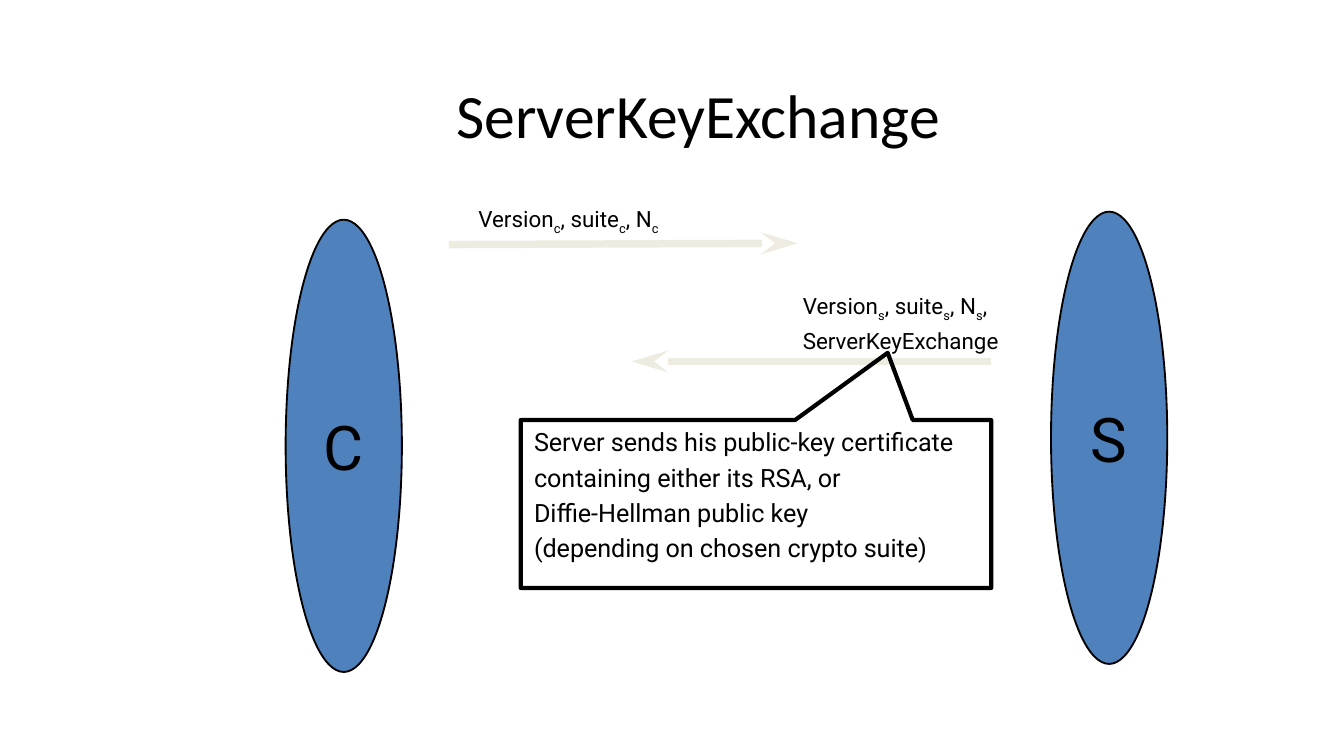
"""Build the ServerKeyExchange handshake slide."""
from lxml.etree import SubElement
from pptx import Presentation
from pptx.dml.color import RGBColor
from pptx.enum.shapes import MSO_CONNECTOR as Connector, MSO_SHAPE as Shape
from pptx.enum.text import MSO_ANCHOR as Anchor, MSO_AUTO_SIZE as Fit, PP_ALIGN as Align
from pptx.oxml.ns import qn
from pptx.util import Emu, Pt

PX = 4572
COLORS = {"ink": "000000", "party": "4F81BD", "arrow": "EEECE1"}


def px(*lengths):
    return [Emu(length * PX) for length in lengths]


def color(name):
    return RGBColor.from_string(COLORS[name])


def write(box, lines, size, font="Roboto", align=Align.LEFT, gap=0, **frame_format):
    """Fill a shape with lines, where text between underscores is subscript."""
    frame = box.text_frame
    for name, value in frame_format.items():
        setattr(frame, name, value)
    for number, line in enumerate(lines):
        para = frame.add_paragraph() if number else frame.paragraphs[0]
        para.alignment = align
        if number:
            para.space_before = Pt(gap)
        for index, part in enumerate(line.split("_")):
            if not part:
                continue
            span = para.add_run()
            span.text = part
            for name, value in {"size": Pt(size), "name": font}.items():
                setattr(span.font, name, value)
            span.font.color.rgb = color("ink")
            if index % 2:
                span._r.get_or_add_rPr().set("baseline", "-25000")


def add_text(page, place, lines, size, **text_format):
    write(page.shapes.add_textbox(*px(*place)), lines, size, **text_format)


def add_outlined(page, kind, place, line_width, fill=None):
    shape = page.shapes.add_shape(kind, *px(*place))
    shape.shadow.inherit = False
    if fill:
        shape.fill.solid()
        shape.fill.fore_color.rgb = color(fill)
    else:
        shape.fill.background()
    shape.line.color.rgb = color("ink")
    shape.line.width = Pt(line_width)
    return shape


def add_party(page, left, top, letter):
    party = add_outlined(page, Shape.OVAL, (left, top, 173, 673), 1, "party")
    write(party, [letter], 33, align=Align.CENTER,
          word_wrap=False, vertical_anchor=Anchor.MIDDLE)


def add_arrow(page, start, end):
    arrow = page.shapes.add_connector(Connector.STRAIGHT, *px(*start, *end))
    arrow.line.color.rgb = color("arrow")
    arrow.line.width = Pt(4)
    SubElement(arrow.line._get_or_add_ln(), qn("a:tailEnd"), type="stealth", len="lg")
    SubElement(arrow._element.spPr, qn("a:effectLst"))


def add_callout(page, place, tip, lines):
    callout = add_outlined(page, Shape.RECTANGULAR_CALLOUT, place, 2.25)
    for index, offset in enumerate(tip):
        callout.adjustments[index] = offset
    write(callout, lines, 13.5, gap=2.7, word_wrap=True, vertical_anchor=Anchor.TOP)


def main():
    deck = Presentation()
    deck.slide_width, deck.slide_height = px(2000, 1125)
    page = deck.slides.add_slide(deck.slide_layouts[6])
    message = {"size": 12, "gap": 2.4, "word_wrap": False, "auto_size": Fit.SHAPE_TO_FIT_TEXT}

    add_text(page, (424, 76, 1230, 188), ["ServerKeyExchange"], 33, font="Calibri",
             align=Align.CENTER, word_wrap=True, vertical_anchor=Anchor.MIDDLE)
    add_party(page, 425, 327, "C")
    add_arrow(page, (668, 364), (1187, 362))
    add_arrow(page, (1475, 538), (940, 538))
    add_text(page, (1175, 425, 332, 110),
             ["Version_s_, suite_s_, N_s_,", "ServerKeyExchange"], **message)
    add_party(page, 1564, 315, "S")
    add_callout(page, (775, 625, 700, 250), (0.28, -0.9), [
        "Server sends his public-key certificate",
        "containing either its RSA, or",
        "Diffie-Hellman public key",
        "(depending on chosen crypto suite)",
    ])
    add_text(page, (688, 296, 316, 60), ["Version_c_, suite_c_, N_c_"],
             align=Align.CENTER, **message)
    deck.save("out.pptx")


if __name__ == "__main__":
    main()
